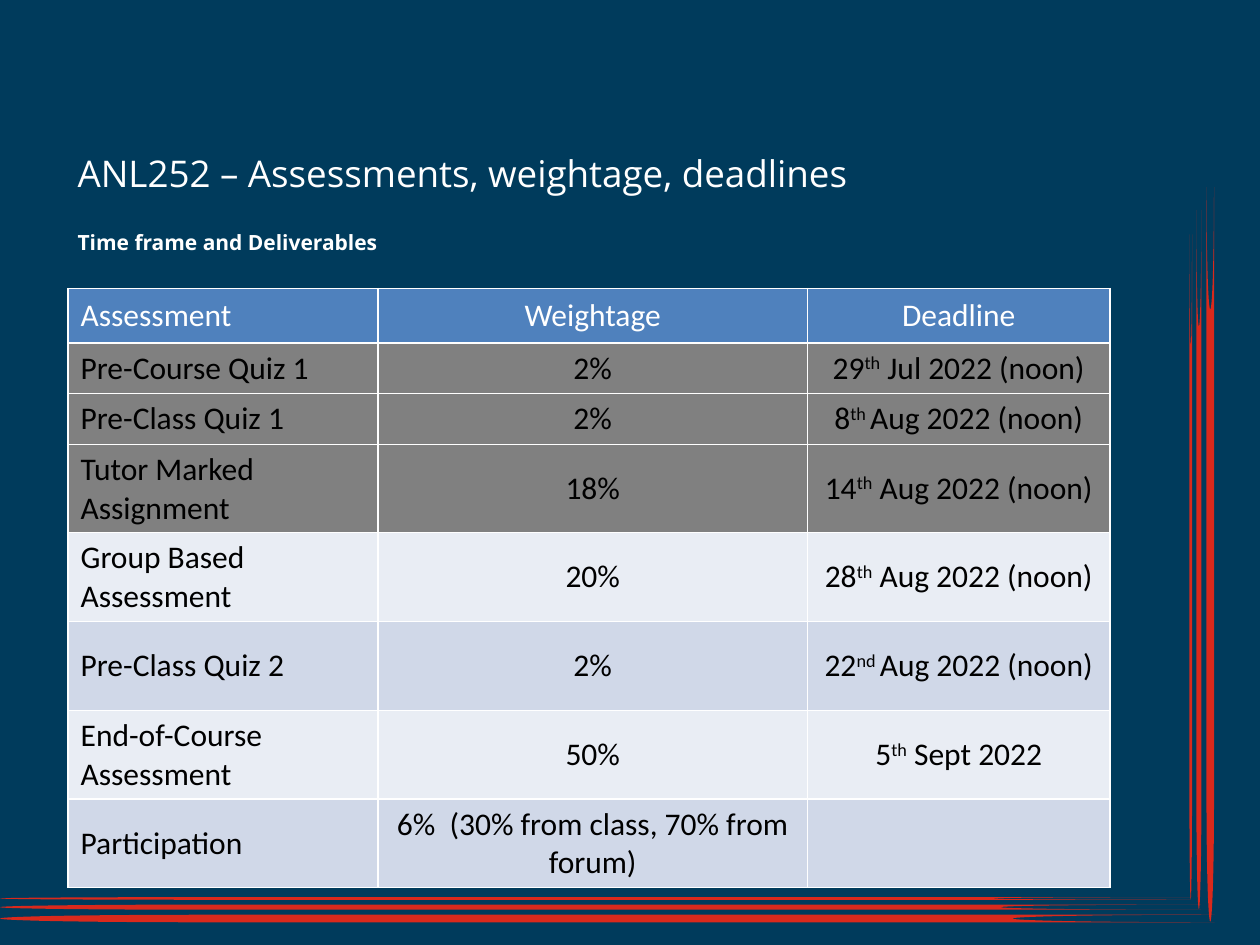
from dataclasses import dataclass
from typing import NamedTuple

from lxml.etree import SubElement
from pptx import Presentation
from pptx.dml.color import RGBColor
from pptx.enum.shapes import MSO_SHAPE as Preset
from pptx.enum.text import MSO_ANCHOR as Anchor, PP_ALIGN as Align
from pptx.oxml import parse_xml
from pptx.oxml.ns import nsdecls, qn
from pptx.util import Pt

COLOURS = {
    "navy": "003B5C", "red": "DA291C", "white": "FFFFFF", "black": "000000",
    "header": "4F81BD", "done": "808080", "light": "E9EDF4", "blue": "D0D8E8",
}
SLIDE_WIDTH, SLIDE_HEIGHT = 720, 540
LEFT = 38.9


class Stroke(NamedTuple):
    """A red brush stroke; centre and length of its box."""
    centre_x: float
    centre_y: float
    length: float
    thickness: float
    rotation: int = 0


@dataclass
class Heading:
    text: str
    top: float
    width: float
    height: float
    size: float
    bold: bool = False


class Due(NamedTuple):
    day: str = ""
    suffix: str = ""
    rest: str = ""


@dataclass
class Assessment:
    name: str
    weightage: str
    due: Due
    fill: str
    height: float


STROKES = [
    Stroke(340.2, 513.4, 680.4, 1.5),
    Stroke(343.1, 518.4, 686.2, 2.9),
    Stroke(347, 524.9, 694.1, 4.3),
    Stroke(680.4, 324, 380.2, 1.5, 270),
    Stroke(685.1, 319.7, 399.6, 2.9, 270),
    Stroke(691.6, 316.8, 419.8, 4.3, 270),
]

HEADINGS = [
    Heading("ANL252 – Assessments, weightage, deadlines", 83.5, 488.9, 36, 21),
    Heading("Time frame and Deliverables", 128.2, 445.7, 18, 12, True),
]

COLUMN_WIDTHS = [177.1, 245.5, 172.8]
HEADER_HEIGHT, SHORT, TALL = 31, 29, 50.8
HEADER = ["Assessment", "Weightage", "Deadline"]
ASSESSMENTS = [
    Assessment("Pre-Course Quiz 1", "2%", Due("29", "th", " Jul 2022 (noon)"), "done", SHORT),
    Assessment("Pre-Class Quiz 1", "2%", Due("8", "th ", "Aug 2022 (noon)"), "done", SHORT),
    Assessment("Tutor Marked Assignment", "18%", Due("14", "th", " Aug 2022 (noon)"), "done", SHORT),
    Assessment("Group Based Assessment", "20%", Due("28", "th", " Aug 2022 (noon)"), "light", TALL),
    Assessment("Pre-Class Quiz 2", "2%", Due("22", "nd ", "Aug 2022 (noon)"), "blue", TALL),
    Assessment("End-of-Course Assessment", "50%", Due("5", "th", " Sept 2022"), "light", TALL),
    Assessment("Participation", "6%  (30% from class, 70% from forum)", Due(), "blue", SHORT),
]


def rgb(colour: str) -> RGBColor:
    return RGBColor.from_string(COLOURS[colour])


def add_run(paragraph, text: str, font: str, size: float, colour: str, bold: bool = False):
    run = paragraph.add_run()
    run.text = text
    run.font.name, run.font.size, run.font.bold = font, Pt(size), bold
    run.font.color.rgb = rgb(colour)
    return run


def draw_stroke(slide, stroke: Stroke) -> None:
    shape = slide.shapes.add_shape(
        Preset.FLOWCHART_STORED_DATA,
        Pt(stroke.centre_x - stroke.length / 2), Pt(stroke.centre_y - stroke.thickness / 2),
        Pt(stroke.length), Pt(stroke.thickness))
    shape.rotation = stroke.rotation
    shape.shadow.inherit = False
    shape.fill.solid()
    shape.fill.fore_color.rgb = rgb("red")
    shape.line.fill.background()


def draw_heading(slide, heading: Heading) -> None:
    box = slide.shapes.add_textbox(
        Pt(LEFT), Pt(heading.top), Pt(heading.width), Pt(heading.height))
    frame = box.text_frame
    frame.word_wrap = True
    frame.margin_left = frame.margin_right = Pt(5.4)
    frame.margin_top = frame.margin_bottom = Pt(2.7)
    add_run(frame.paragraphs[0], heading.text, "Open Sans", heading.size, "white", heading.bold)


def set_borders(cell) -> None:
    properties = cell._tc.get_or_add_tcPr()
    for index, side in enumerate("LRTB"):
        border = parse_xml(f'<a:ln{side} {nsdecls("a")} w="{Pt(1)}"/>')
        fill = SubElement(border, qn("a:solidFill"))
        SubElement(fill, qn("a:srgbClr")).set("val", COLOURS["white"])
        properties.insert(index, border)


def fill_cell(cell, parts: tuple[str, ...], fill: str, colour: str, centred: bool) -> None:
    """Write the parts as runs; the second one is superscript."""
    cell.fill.solid()
    cell.fill.fore_color.rgb = rgb(fill)
    set_borders(cell)
    cell.vertical_anchor = Anchor.MIDDLE
    paragraph = cell.text_frame.paragraphs[0]
    paragraph.alignment = Align.CENTER if centred else Align.LEFT
    for index, part in enumerate(parts):
        if part:
            run = add_run(paragraph, part, "Calibri", 18, colour)
            if index == 1:
                run._r.get_or_add_rPr().set("baseline", "30000")


def draw_table(slide) -> None:
    heights = [HEADER_HEIGHT] + [assessment.height for assessment in ASSESSMENTS]
    table = slide.shapes.add_table(
        len(heights), len(COLUMN_WIDTHS), Pt(LEFT), Pt(164.9),
        Pt(sum(COLUMN_WIDTHS)), Pt(sum(heights))).table
    for column, width in zip(table.columns, COLUMN_WIDTHS):
        column.width = Pt(width)
    for row, height in zip(table.rows, heights):
        row.height = Pt(height)

    for column, label in enumerate(HEADER):
        fill_cell(table.cell(0, column), (label,), "header", "white", column > 0)
    for row, assessment in enumerate(ASSESSMENTS, start=1):
        contents = [(assessment.name,), (assessment.weightage,), assessment.due]
        for column, parts in enumerate(contents):
            fill_cell(table.cell(row, column), parts, assessment.fill, "black", column > 0)


def main() -> None:
    deck = Presentation()
    deck.slide_width, deck.slide_height = Pt(SLIDE_WIDTH), Pt(SLIDE_HEIGHT)
    slide = deck.slides.add_slide(deck.slide_layouts[6])

    # Navy backdrop
    slide.background.fill.solid()
    slide.background.fill.fore_color.rgb = rgb("navy")

    # Brush strokes along the bottom and right edges
    for stroke in STROKES:
        draw_stroke(slide, stroke)

    # Title and subtitle
    for heading in HEADINGS:
        draw_heading(slide, heading)

    # Assessment schedule
    draw_table(slide)

    deck.save("out.pptx")


if __name__ == "__main__":
    main()
